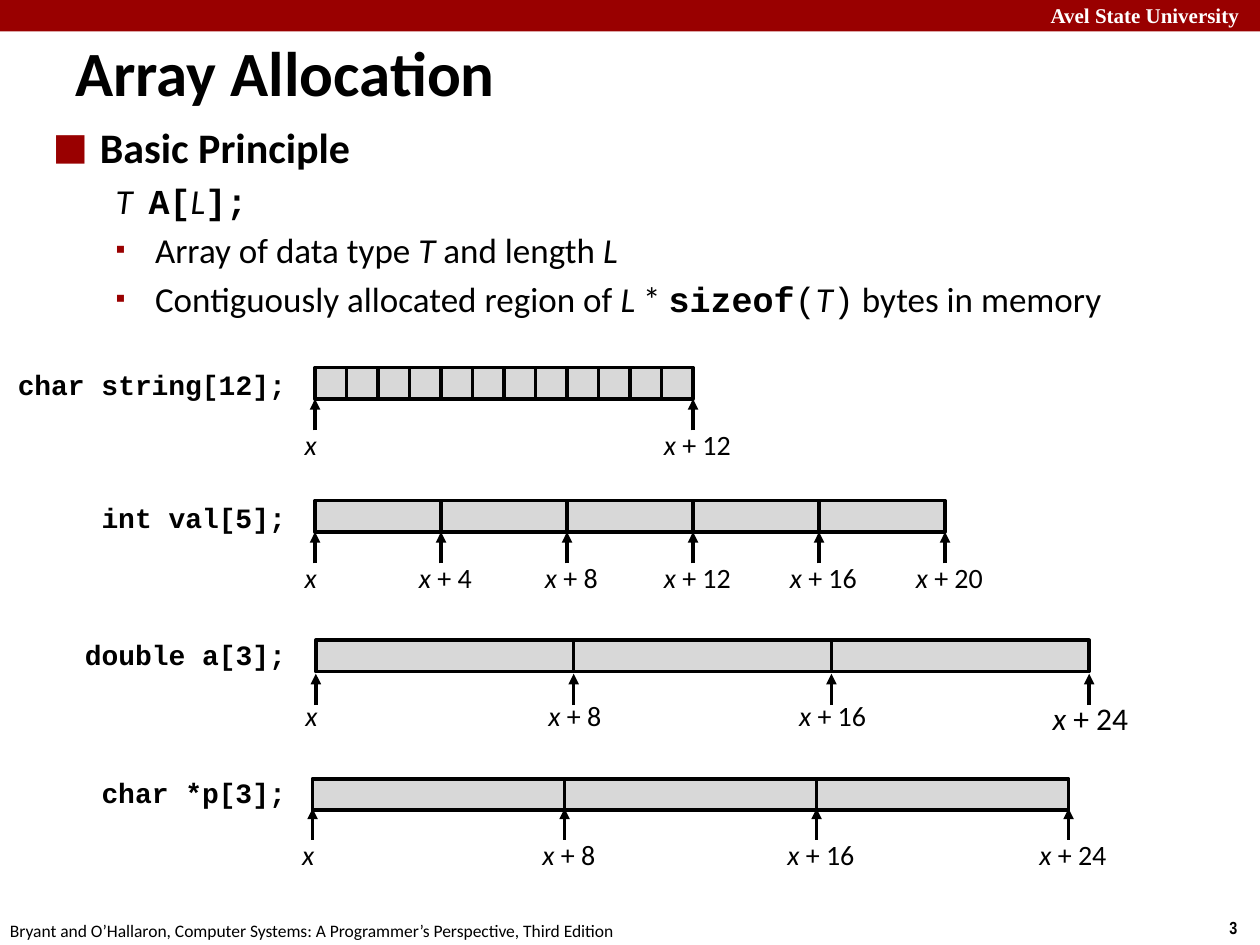
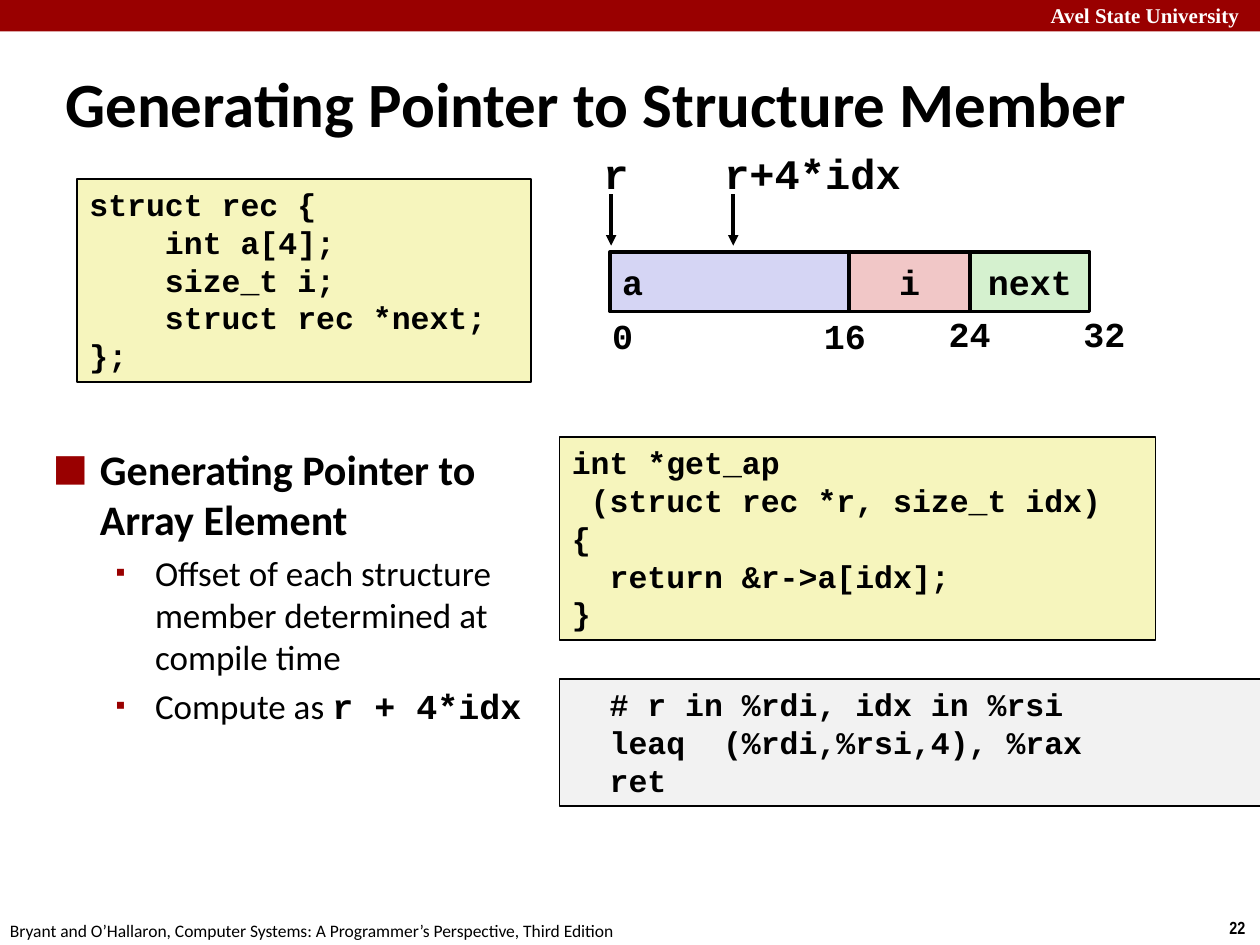
from dataclasses import dataclass
from typing import NamedTuple

from lxml.etree import SubElement
from pptx import Presentation
from pptx.dml.color import RGBColor
from pptx.enum.shapes import MSO_CONNECTOR, MSO_SHAPE
from pptx.enum.text import MSO_ANCHOR, PP_ALIGN
from pptx.oxml.ns import qn
from pptx.presentation import Presentation as Deck
from pptx.shapes.autoshape import Shape
from pptx.slide import Slide
from pptx.text.text import Font, TextFrame
from pptx.util import Pt

SANS, MONO, SERIF = "Calibri", "Courier New", "Times New Roman"
CRIMSON, BLACK, WHITE = "990000", "000000", "FFFFFF"
CELL_GREY, CODE_YELLOW, ASSEMBLY_GREY = "D8D8D8", "F6F5BD", "F2F2F2"
SLIDE_WIDTH, SLIDE_HEIGHT = 720, 540
COURIER_ADVANCE = 0.6
CELL_HEIGHT = 18
FIELD_TOP, FIELD_HEIGHT = 144, 34


class Box(NamedTuple):
    """Place and size in points."""
    left: float
    top: float
    width: float
    height: float


class Style(NamedTuple):
    """Look of a piece of text."""
    size: float
    font: str = SANS
    bold: bool = False
    italic: bool = False
    color: str = BLACK


class Piece(NamedTuple):
    """Words that share one style."""
    words: str
    style: Style


class Item(NamedTuple):
    """One outline paragraph."""
    pieces: list[Piece]
    bullet: str = "▪"
    margin: float = 58.5
    hanging: float = 22.5
    space_before: float = 4
    bullet_percent: int = 80


class Field(NamedTuple):
    """One member of the structure in memory."""
    name: str
    left: float
    width: float
    color: str
    align: PP_ALIGN = PP_ALIGN.CENTER


class Tag(NamedTuple):
    """A short code label above or below the structure."""
    words: str
    left: float
    top: float
    size: float = 20


class Listing(NamedTuple):
    """A framed block of code."""
    box: Box
    color: str
    code: str


@dataclass
class ArrayRow:
    """An array drawn as cells with address marks."""
    declaration: str
    label_top: float
    left: float
    top: float
    cell_width: float
    count: int
    element_size: int
    mark_every: int = 1
    arrow_gap: float = 0
    address_gap: float = 31
    address_shift: float = 2.5
    last_size: float = 16


HEADING = Style(24, bold=True)
PLAIN = Style(20)
VARIABLE = Style(20, italic=True)
CODE = Style(20, MONO, True)

ARRAY_ITEMS = [
    Item([Piece("Basic Principle", HEADING)], "■", 27, 27, 0, 140),
    Item([Piece("T  ", VARIABLE), Piece("A[", CODE), Piece("L", VARIABLE),
          Piece("];", CODE)], ""),
    Item([Piece("Array of data type ", PLAIN), Piece("T", VARIABLE),
          Piece(" and length ", PLAIN), Piece("L", VARIABLE)]),
    Item([Piece("Contiguously allocated region of ", PLAIN), Piece("L", VARIABLE),
          Piece(" * ", PLAIN), Piece("sizeof", CODE), Piece("(", Style(20, MONO)),
          Piece("T", VARIABLE), Piece(")", Style(20, MONO)),
          Piece(" bytes in memory", PLAIN)]),
]
ARRAY_ROWS = [
    ArrayRow("char string[12];", 206.5, 180, 210, 18, 12, 1, mark_every=12),
    ArrayRow("int val[5];", 282.5, 180, 286, 72, 5, 4),
    ArrayRow("double a[3];", 360.5, 180.5, 365.8, 147.3, 3, 8, arrow_gap=1.2,
             address_gap=30, address_shift=0.7, last_size=18),
    ArrayRow("char *p[3];", 439.5, 178.6, 445, 144, 3, 8, arrow_gap=-1,
             address_gap=30),
]
POINTER_ITEMS = [
    Item([Piece("Generating Pointer to Array Element", HEADING)], "■", 27, 27, 0, 140),
    Item([Piece("Offset of each structure member determined at compile time", PLAIN)]),
    Item([Piece("Compute as ", PLAIN), Piece("r + 4*idx", CODE)]),
]
LISTINGS = [
    Listing(Box(319.7, 388, 401, 72.7), ASSEMBLY_GREY,
            "  # r in %rdi, idx in %rsi\n  leaq  (%rdi,%rsi,4), %rax\n  ret"),
    Listing(Box(319.7, 249.8, 340.6, 116), CODE_YELLOW,
            "int *get_ap\n (struct rec *r, size_t idx)\n{\n  return &r->a[idx];\n}"),
    Listing(Box(44, 102.2, 259.4, 116), CODE_YELLOW,
            "struct rec {\n    int a[4];\n    size_t i;\n    struct rec *next;\n};"),
]
FIELDS = [
    Field("a", 348.5, 136.8, "D5D5F4", PP_ALIGN.LEFT),
    Field("i", 485.3, 69, "F1C7C7"),
    Field("next", 554.3, 68.4, "D5F1CF"),
]
TAGS = [
    Tag("r", 337.7, 80.6, 24), Tag("r+4*idx", 406.8, 80.6, 24),
    Tag("0", 342.7, 176.4), Tag("16", 463.7, 176.4),
    Tag("24", 535, 175), Tag("32", 612, 175),
]
POINTER_XS = [349.2, 419]


def rgb(color: str) -> RGBColor:
    """Turn a hex string into a colour."""
    return RGBColor.from_string(color)


def apply_style(font: Font, style: Style) -> None:
    """Give a font the look of a style."""
    font.name, font.size = style.font, Pt(style.size)
    font.bold, font.italic = style.bold, style.italic
    font.color.rgb = rgb(style.color)


def add_text(slide: Slide, box: Box, words: str, style: Style,
             align: PP_ALIGN = PP_ALIGN.LEFT) -> TextFrame:
    """Add a one-style text box."""
    frame = slide.shapes.add_textbox(*map(Pt, box)).text_frame
    frame.text = words
    frame.word_wrap = False
    frame.paragraphs[0].alignment = align
    apply_style(frame.paragraphs[0].runs[0].font, style)
    return frame


def add_rect(slide: Slide, box: Box, fill: str, line_width: float = 0) -> Shape:
    """Add a filled rectangle, outlined when a line width is given."""
    rect = slide.shapes.add_shape(MSO_SHAPE.RECTANGLE, *map(Pt, box))
    rect.shadow.inherit = False
    rect.fill.solid()
    rect.fill.fore_color.rgb = rgb(fill)
    if line_width:
        rect.line.color.rgb = rgb(BLACK)
        rect.line.width = Pt(line_width)
    else:
        rect.line.fill.background()
    return rect


def add_arrow(slide: Slide, x: float, start: float, end: float) -> None:
    """Add a vertical arrow."""
    arrow = slide.shapes.add_connector(
        MSO_CONNECTOR.STRAIGHT, Pt(x), Pt(start), Pt(x), Pt(end))
    arrow.line.color.rgb = rgb(BLACK)
    arrow.line.width = Pt(2)
    SubElement(arrow.line._get_or_add_ln(), qn("a:tailEnd"), type="triangle")
    SubElement(arrow._element.spPr, qn("a:effectLst"))


def add_outline(slide: Slide, box: Box, items: list[Item]) -> None:
    """Add the bulleted body text."""
    frame = slide.shapes.add_textbox(*map(Pt, box)).text_frame
    frame.word_wrap = True
    for index, item in enumerate(items):
        paragraph = frame.add_paragraph() if index else frame.paragraphs[0]
        paragraph.space_before = Pt(item.space_before)
        for piece in item.pieces:
            run = paragraph.add_run()
            run.text = piece.words
            apply_style(run.font, piece.style)
        properties = paragraph._p.get_or_add_pPr()
        properties.set("marL", str(Pt(item.margin)))
        properties.set("indent", str(-Pt(item.hanging)))
        if item.bullet:
            tint = SubElement(properties, qn("a:buClr"))
            SubElement(tint, qn("a:srgbClr"), val=CRIMSON)
            SubElement(properties, qn("a:buSzPct"), val=str(item.bullet_percent * 1000))
            SubElement(properties, qn("a:buFont"), typeface=SERIF)
            SubElement(properties, qn("a:buChar"), char=item.bullet)


def add_listing(slide: Slide, listing: Listing) -> None:
    """Add a code block, turning leading spaces into paragraph margins."""
    style = Style(18, MONO, True)
    frame = add_rect(slide, listing.box, listing.color, 1).text_frame
    lines = listing.code.split("\n")
    frame.text = "\n".join(line.lstrip() for line in lines)
    frame.word_wrap = False
    frame.vertical_anchor = MSO_ANCHOR.TOP
    for line, paragraph in zip(lines, frame.paragraphs):
        depth = len(line) - len(line.lstrip())
        paragraph.alignment = PP_ALIGN.LEFT
        margin = Pt(depth * style.size * COURIER_ADVANCE)
        paragraph._p.get_or_add_pPr().set("marL", str(margin))
        apply_style(paragraph.runs[0].font, style)


def add_address(slide: Slide, center: float, top: float, offset: int,
                size: float) -> None:
    """Add an address such as x + 4 below its arrow."""
    frame = add_text(slide, Box(center - 39, top, 78, 26.6), "x " if offset else "x",
                     Style(size, italic=True), PP_ALIGN.CENTER)
    if offset:
        run = frame.paragraphs[0].add_run()
        run.text = f"+ {offset}"
        apply_style(run.font, Style(size))


def add_array(slide: Slide, row: ArrayRow) -> None:
    """Add a declaration, its cells and its address marks."""
    add_text(slide, Box(2, row.label_top, 168.5, 26.6), row.declaration,
             Style(16, MONO, True), PP_ALIGN.RIGHT)
    for index in range(row.count):
        add_rect(slide, Box(row.left + index * row.cell_width, row.top,
                            row.cell_width, CELL_HEIGHT), CELL_GREY, 2)
    arrow_top = row.top + CELL_HEIGHT + row.arrow_gap
    for index in range(0, row.count + 1, row.mark_every):
        x = row.left + index * row.cell_width
        add_arrow(slide, x, arrow_top + 18, arrow_top)
        add_address(slide, x + (row.address_shift if index else -2.5),
                    row.top + row.address_gap, index * row.element_size,
                    row.last_size if index == row.count else 16)


def add_page(deck: Deck, title: str, title_box: Box, number: int) -> Slide:
    """Add a slide with the shared band, footer and title."""
    slide = deck.slides.add_slide(deck.slide_layouts[6])
    add_rect(slide, Box(0, 0, SLIDE_WIDTH, 18), CRIMSON)
    add_text(slide, Box(593.3, -2.2, 131.8, 21.6), "Avel State University",
             Style(12, SERIF, True, color=WHITE))
    add_text(slide, Box(695.5, 520.6, 24.5, 19.4), str(number),
             Style(10, "Arial Narrow", True))
    add_text(slide, Box(-1.4, 522, 365.8, 19.4),
             "Bryant and O’Hallaron, Computer Systems: "
             "A Programmer’s Perspective, Third Edition", Style(10))
    heading = add_text(slide, title_box, title, Style(36, bold=True))
    heading.vertical_anchor = MSO_ANCHOR.MIDDLE
    return slide


def build_array_page(deck: Deck) -> None:
    """Build the array allocation slide."""
    slide = add_page(deck, "Array Allocation", Box(36, 18, 468, 45.4), 3)
    add_outline(slide, Box(23, 66.2, 654.5, 127.4), ARRAY_ITEMS)
    for row in ARRAY_ROWS:
        add_array(slide, row)


def build_pointer_page(deck: Deck) -> None:
    """Build the structure member slide."""
    slide = add_page(deck, "Generating Pointer to Structure Member",
                     Box(30.2, 36, 653.8, 45.4), 22)
    for listing in LISTINGS:
        add_listing(slide, listing)
    add_outline(slide, Box(23, 249.8, 308.9, 225.4), POINTER_ITEMS)
    for field in FIELDS:
        member = add_rect(slide, Box(field.left, FIELD_TOP, field.width, FIELD_HEIGHT),
                          field.color, 2)
        member.text_frame.text = field.name
        member.text_frame.vertical_anchor = MSO_ANCHOR.MIDDLE
        member.text_frame.paragraphs[0].alignment = field.align
        apply_style(member.text_frame.paragraphs[0].runs[0].font, CODE)
    for tag in TAGS:
        width = len(tag.words) * tag.size * COURIER_ADVANCE + 14.4
        add_text(slide, Box(tag.left, tag.top, width, tag.size * 1.5), tag.words,
                 Style(tag.size, MONO, True))
    for x in POINTER_XS:
        add_arrow(slide, x, 111, 140.4)


def main() -> None:
    """Build and save the deck."""
    deck = Presentation()
    deck.slide_width, deck.slide_height = Pt(SLIDE_WIDTH), Pt(SLIDE_HEIGHT)
    build_array_page(deck)
    build_pointer_page(deck)
    deck.save("out.pptx")


if __name__ == "__main__":
    main()
